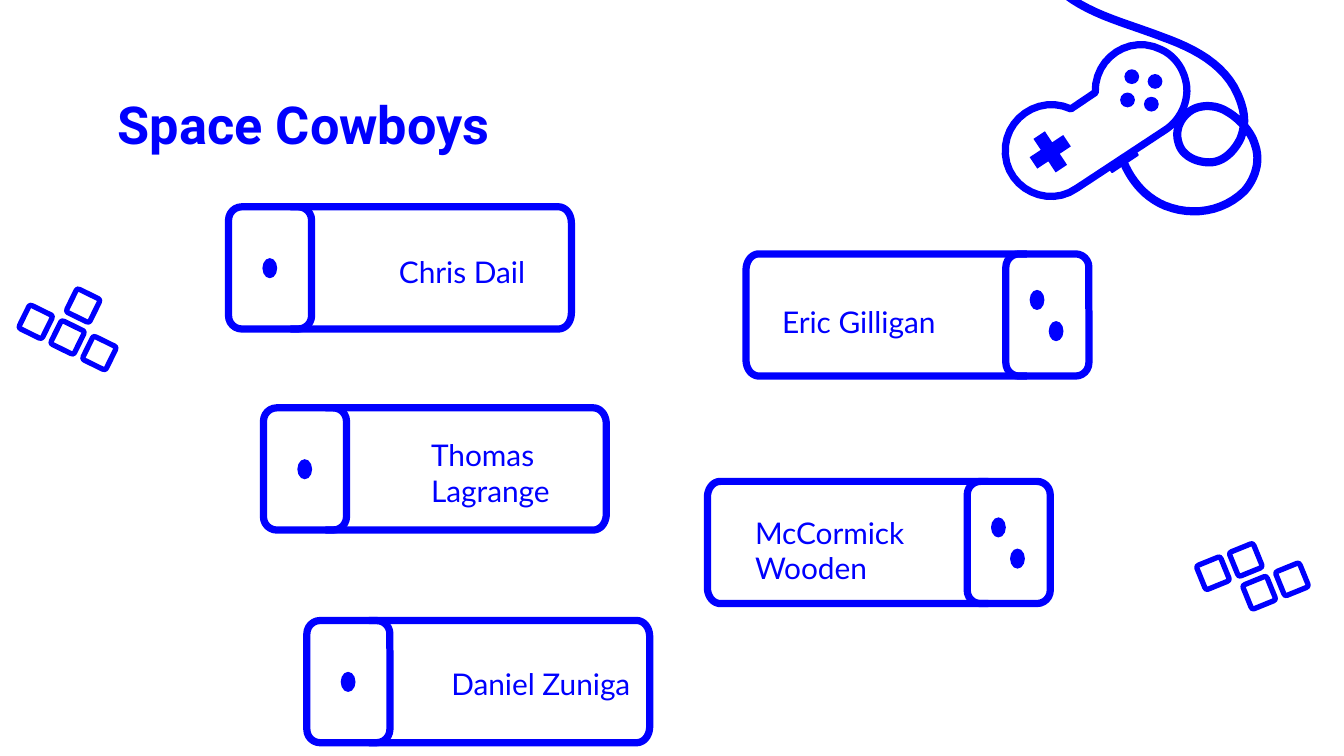
import math

import pptx
import pptx.dml.color
import pptx.enum.shapes
import pptx.enum.text
import pptx.util

Cm = pptx.util.Cm
Pt = pptx.util.Pt
PRESET = pptx.enum.shapes.MSO_SHAPE
COLORS = {"ink": "0000FE", "paper": "FFFFFF"}

CARD_WIDTH, CARD_HEIGHT = 6.48, 2.31
PANEL_WIDTH = 1.57
STROKE = 3.88

# Each outline is a start point, then lines (x, y) and curves (x1, y1, x2, y2, x, y).
CARD_OUTLINE = [
    (1.17, 2.31), (6.23, 2.31), (6.37, 2.31, 6.48, 2.18, 6.48, 2),
    (6.48, 0.31), (6.48, 0.13, 6.37, 0, 6.23, 0), (1.17, 0),
]
CABLE = [
    (1.14, -0.1),
    (1.66, 0.3, 2.36, 0.46, 2.97, 0.7),
    (3.56, 0.91, 4.14, 1.21, 4.39, 1.78),
    (4.47, 1.96, 4.53, 2.16, 4.51, 2.36),
    (4.5, 2.45, 4.47, 2.56, 4.44, 2.63),
    (4.32, 2.87, 4.11, 3.07, 3.86, 3.07),
    (3.61, 3.07, 3.35, 2.95, 3.28, 2.72),
    (3.2, 2.49, 3.28, 2.26, 3.48, 2.11),
    (3.68, 1.96, 3.99, 1.98, 4.19, 2.11),
    (4.42, 2.24, 4.65, 2.49, 4.72, 2.74),
    (4.83, 3.05, 4.72, 3.38, 4.52, 3.61),
    (4.11, 4.01, 3.53, 4.09, 3.02, 3.89),
    (2.59, 3.71, 2.34, 3.35, 2.2, 2.98),
]
GAMEPAD = [
    (3.05, 2.44), (1.35, 3.56),
    (0.81, 3.94, 0.05, 3.58, 0, 2.92),
    (-0.05, 2.26, 0.63, 1.78, 1.24, 2.06),
    (1.7, 1.75),
    (1.68, 1.09, 2.36, 0.64, 2.95, 0.94),
    (3.23, 1.07, 3.4, 1.35, 3.43, 1.65),
    (3.45, 1.96, 3.3, 2.26, 3.05, 2.44),
]
BUTTONS = [(2.39, 1.45), (2.83, 1.54), (2.31, 1.89), (2.76, 1.97)]


def rgb(name):
    return pptx.dml.color.RGBColor.from_string(COLORS[name])


def paint(shape, line=None):
    """Stroke the shape when a line width is given, otherwise fill it."""
    shape.shadow.inherit = False
    if line:
        shape.fill.background()
        shape.line.color.rgb = rgb("ink")
        shape.line.width = Pt(line)
    else:
        shape.fill.solid()
        shape.fill.fore_color.rgb = rgb("ink")
        shape.line.fill.background()
    return shape


def flatten(outline, steps=12):
    """Turn an outline of lines and curves into a list of points."""
    points = [outline[0]]
    for segment in outline[1:]:
        if len(segment) == 2:
            points.append(segment)
            continue
        start, first, second, end = points[-1], segment[:2], segment[2:4], segment[4:]
        for step in range(1, steps + 1):
            t = step / steps
            weights = ((1 - t) ** 3, 3 * t * (1 - t) ** 2, 3 * t * t * (1 - t), t ** 3)
            corners = (start, first, second, end)
            points.append(tuple(sum(w * c[axis] for w, c in zip(weights, corners))
                                for axis in (0, 1)))
    return points


def trace(page, left, top, contours, closed=True, line=None):
    """Draw one freeform from point lists measured from left and top."""
    contours = [[(Cm(left + x), Cm(top + y)) for x, y in points] for points in contours]
    builder = page.shapes.build_freeform(*contours[0][0], scale=1.0)
    for index, points in enumerate(contours):
        if index:
            builder.move_to(*points[0])
        builder.add_line_segments(points[1:], close=closed)
    return paint(builder.convert_to_shape(), line)


def add_preset(page, kind, left, top, width, height, line=None):
    shape = page.shapes.add_shape(kind, Cm(left), Cm(top), Cm(width), Cm(height))
    return paint(shape, line)


def write(page, box, text, size=16, font="Lato", bold=False):
    frame = page.shapes.add_textbox(*map(Cm, box)).text_frame
    frame.word_wrap = True
    frame.vertical_anchor = pptx.enum.text.MSO_ANCHOR.TOP
    frame.margin_left = frame.margin_right = Cm(0.25)
    frame.margin_top = frame.margin_bottom = Cm(0.25)
    span = frame.paragraphs[0].add_run()
    span.text = text
    span.font.size = Pt(size)
    span.font.name = font
    span.font.bold = bold
    span.font.color.rgb = rgb("ink")


def add_card(page, left, top, name, label, mirrored=False):
    """Place a name card; label is the text box measured from the card's corner."""
    points = flatten(CARD_OUTLINE)
    panel_left, dots = 0, [(0.64, 0.97)]
    if mirrored:
        points = [(CARD_WIDTH - x, y) for x, y in points]
        panel_left, dots = CARD_WIDTH - PANEL_WIDTH, [(5.36, 0.68), (5.72, 1.27)]
    panel = add_preset(page, PRESET.ROUNDED_RECTANGLE, left + panel_left, top,
                       PANEL_WIDTH, CARD_HEIGHT, line=STROKE)
    panel.adjustments[0] = 0.16
    trace(page, left, top, [points], closed=False, line=STROKE)
    for x, y in dots:
        add_preset(page, PRESET.OVAL, left + x, top + y, 0.28, 0.38)
    x, y, width, height = label
    write(page, (left + x, top + y, width, height), name)


def add_blocks(page, left, top, cells, angle, side=0.59, pitch=0.67):
    """Place hollow squares on a grid turned by angle, with cell (0, 0) at left, top."""
    wall, radius = 0.1, 0.1
    far, near = side - radius, radius
    outer = flatten([
        (near, 0), (far, 0), (far, 0, side, 0, side, near),
        (side, far), (side, far, side, side, far, side),
        (near, side), (near, side, 0, side, 0, far),
        (0, near), (0, near, 0, 0, near, 0),
    ], steps=4)
    end = side - wall
    inner = [(wall, wall), (wall, end), (end, end), (end, wall)]
    cosine, sine = math.cos(math.radians(angle)), math.sin(math.radians(angle))
    for column, row in cells:
        x = left + pitch * (column * cosine - row * sine)
        y = top + pitch * (column * sine + row * cosine)
        trace(page, x, y, [outer, inner]).rotation = angle


def add_gamepad(page, left, top, tilt=-33.5):
    trace(page, left, top, [flatten(CABLE)], closed=False, line=4.4)
    plug = add_preset(page, PRESET.ROUNDED_RECTANGLE, left + 1.92, top + 2.97, 0.62, 0.15)
    plug.rotation = tilt
    trace(page, left, top, [flatten(GAMEPAD)], line=STROKE)
    for x, y in BUTTONS:
        add_preset(page, PRESET.OVAL, left + x - 0.14, top + y - 0.14, 0.28, 0.28)
    cross = add_preset(page, PRESET.CROSS, left + 0.47, top + 2.49, 0.76, 0.76)
    cross.adjustments[0] = 0.33
    cross.rotation = tilt


def main():
    deck = pptx.Presentation()
    deck.slide_width, deck.slide_height = Cm(25.4), Cm(14.29)
    page = deck.slides.add_slide(deck.slide_layouts[6])
    page.background.fill.solid()
    page.background.fill.fore_color.rgb = rgb("paper")

    write(page, (1.98, 1.5, 21.44, 1.6), "Space Cowboys", size=28, font="Roboto", bold=True)
    add_card(page, 4.32, 3.91, "Chris Dail", (2.97, 0.64, 3.02, 1.17))
    add_card(page, 4.98, 7.71, "Thomas Lagrange", (2.92, 0.29, 3.02, 1.73))
    add_card(page, 5.8, 11.73, "Daniel Zuniga", (2.48, 0.61, 4.19, 1.73))
    add_card(page, 14.1, 4.8, "Eric Gilligan", (0.43, 0.69, 3.54, 1.17), mirrored=True)
    add_card(page, 13.37, 9.1, "McCormick Wooden", (0.65, 0.37, 3.54, 1.6), mirrored=True)
    add_blocks(page, 0.38, 5.79, [(0, 0), (1, 0), (2, 0), (1, -1)], angle=26.1)
    add_blocks(page, 22.63, 10.54, [(0, 0), (1, 0), (1, 1), (2, 1)], angle=-22.1)
    add_gamepad(page, 19, 0)
    deck.save("out.pptx")


if __name__ == "__main__":
    main()
